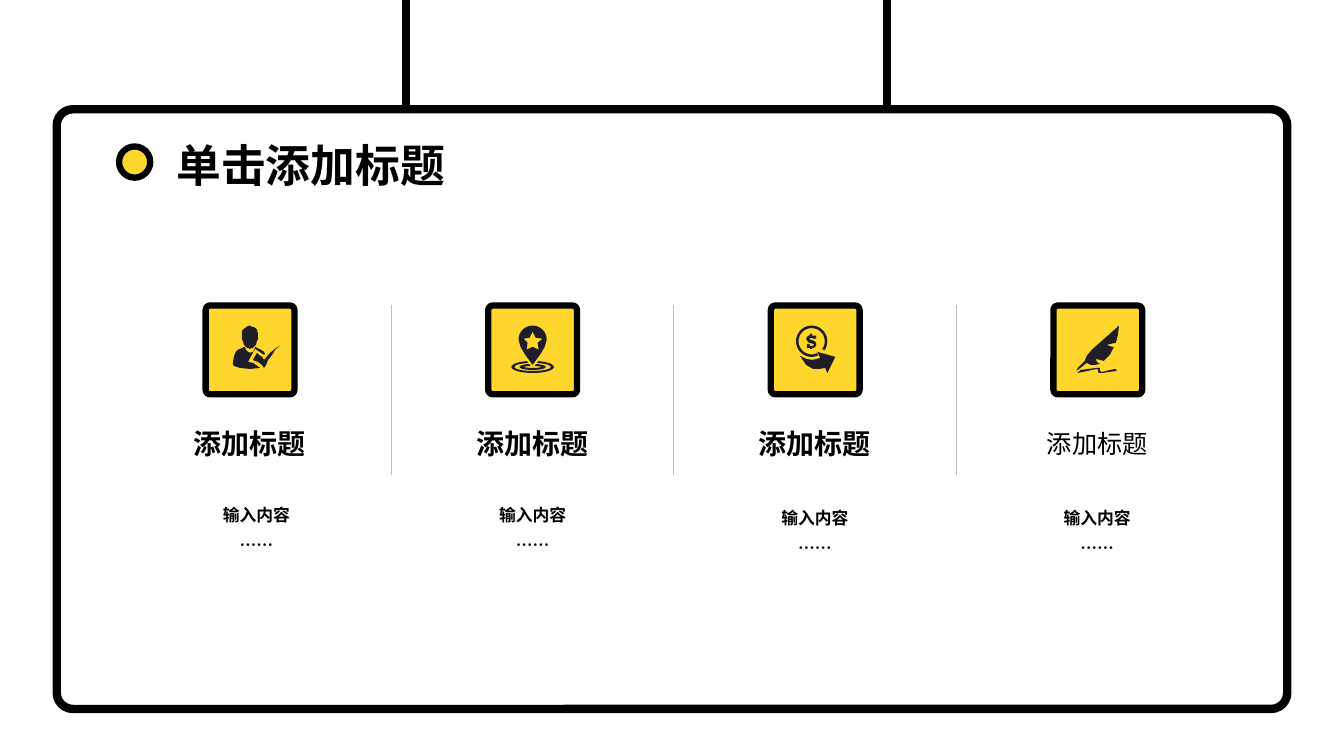
from dataclasses import dataclass
from math import cos, radians, sin

from lxml import etree
from pptx import Presentation
from pptx.dml.color import RGBColor
from pptx.enum.shapes import MSO_CONNECTOR, MSO_SHAPE
from pptx.enum.text import MSO_ANCHOR, MSO_AUTO_SIZE, PP_ALIGN
from pptx.oxml.ns import qn
from pptx.util import Pt

STRAIGHT = MSO_CONNECTOR.STRAIGHT
ROUNDED = MSO_SHAPE.ROUNDED_RECTANGLE
OVAL = MSO_SHAPE.OVAL
LEFT, CENTER = PP_ALIGN.LEFT, PP_ALIGN.CENTER
TOP, MIDDLE = MSO_ANCHOR.TOP, MSO_ANCHOR.MIDDLE
FIT_SHAPE = MSO_AUTO_SIZE.SHAPE_TO_FIT_TEXT

Point = tuple[float, float]
Contour = list[Point]


@dataclass(frozen=True)
class Theme:
    font: str = "Noto Sans CJK SC"
    black: RGBColor = RGBColor(0, 0, 0)
    white: RGBColor = RGBColor(255, 255, 255)
    yellow: RGBColor = RGBColor(0xFF, 0xD6, 0x2C)
    icon: RGBColor = RGBColor(0x1F, 0x1D, 0x28)
    divider: RGBColor = RGBColor(0xBF, 0xBF, 0xBF)
    title_size: float = 32
    heading_size: float = 20
    light_heading_size: float = 18
    body_size: float = 12
    board_line: float = 6
    badge_line: float = 4.5
    divider_line: float = 0.25


@dataclass(frozen=True)
class Box:
    left: float
    top: float
    width: float
    height: float


@dataclass(frozen=True)
class Icon:
    offset: float
    contours: list[Contour]


@dataclass(frozen=True)
class Card:
    icon: Icon
    body_left: float
    body_top: float
    heading_size: float
    heading_bold: bool


def arc(center: Point, radius: Point, start: int, end: int) -> Contour:
    step = 6 if end > start else -6
    return [(center[0] + radius[0] * cos(radians(angle)), center[1] + radius[1] * sin(radians(angle)))
            for angle in range(start, end + step, step)]


def open_ring(center: Point, outer: Point, inner: Point, start: int, end: int) -> Contour:
    return arc(center, outer, start, end) + arc(center, inner, end, start)


THEME = Theme()
ICON_UNIT = 0.72
ICON_INSET = 14.4
CARD_LEFT, CARD_TOP, CARD_SIZE, CARD_PITCH = 146.9, 218.2, 63.4, 201.85

PERSON = Icon(19.4, [
    [(12, 21), (13, 24), (15, 26), (17, 27), (20, 26), (22, 22), (22, 21), (24, 22), (28, 24),
     (31, 26), (32, 28), (31, 29), (28, 27), (25, 25), (22, 23), (15, 36), (20, 37), (23, 39),
     (26, 41), (27, 42), (17, 43), (7, 42), (1, 40), (0, 38), (1, 31), (3, 26), (5, 24)],
    [(47, 20), (42, 24), (39, 29), (35, 34), (33, 39), (31, 42), (29, 39), (25, 36), (22, 35),
     (20, 34), (24, 27), (26, 29), (29, 31), (31, 34), (37, 27), (42, 23)],
    [(16, 0), (19, 1), (22, 2), (24, 4), (25, 8), (25, 14), (24, 15), (23, 19), (20, 22),
     (17, 23), (14, 22), (11, 19), (10, 15), (9, 14), (9, 6), (10, 4), (14, 1)],
])
LOCATION = Icon(16.6, [
    arc((21, 14), (14, 14), 180, 360) + [(33, 21), (29, 28), (21, 39), (13, 28), (9, 21)],
    [(21, 6), (18, 12), (12, 13), (16, 17), (15, 24), (21, 21), (27, 24), (26, 17), (31, 13), (24, 12)],
    open_ring((21, 41), (21, 6), (18, 4), -75, 255),
    open_ring((21, 41), (13, 3), (8, 1), -75, 255),
])
COIN = Icon(18, [
    [(21, 26), (39, 31), (31, 47), (29, 42), (23, 43), (17, 43), (10, 39), (4, 30), (10, 33),
     (16, 34), (21, 33), (24, 32)],
    [(14, 8), (16, 8), (16, 10), (20, 10), (20, 13), (17, 13), (15, 12), (13, 13), (14, 14),
     (18, 15), (20, 17), (20, 20), (18, 22), (16, 22), (16, 23), (14, 23), (14, 22), (11, 22),
     (11, 18), (13, 18), (14, 20), (17, 20), (18, 19), (17, 18), (13, 17), (11, 15), (10, 13),
     (11, 11), (14, 9)],
    open_ring((15.5, 15.5), (15.5, 15.5), (13, 13), 66, 396),
])
QUILL = Icon(16.6, [
    [(42, 0), (41, 9), (39, 17), (30, 19), (32, 20), (35, 21), (37, 21), (33, 29), (27, 35),
     (19, 33), (20, 36), (23, 38), (18, 39), (14, 39), (10, 37), (0, 45), (1, 42), (8, 35),
     (10, 30), (15, 24)],
    [(20, 42), (23, 42), (23, 45), (25, 46), (38, 43), (40, 44), (39, 45), (25, 47), (22, 47),
     (21, 45), (22, 44), (20, 43), (1, 47), (4, 44)],
])

CARDS = [
    Card(PERSON, 98.6, 349.9, THEME.heading_size, True),
    Card(LOCATION, 295.9, 349.9, THEME.heading_size, True),
    Card(COIN, 497.5, 352.1, THEME.heading_size, True),
    Card(QUILL, 699.1, 352.1, THEME.light_heading_size, False),
]


def add_line(slide, x: float, top: float, bottom: float, color: RGBColor, width: float) -> None:
    connector = slide.shapes.add_connector(STRAIGHT, Pt(x), Pt(top), Pt(x), Pt(bottom))
    connector.line.color.rgb = color
    connector.line.width = Pt(width)
    etree.SubElement(connector.element.spPr, qn("a:effectLst"))


def add_outlined(slide, kind, box: Box, fill: RGBColor, width: float, corner: float = 0) -> None:
    shape = slide.shapes.add_shape(kind, Pt(box.left), Pt(box.top), Pt(box.width), Pt(box.height))
    shape.shadow.inherit = False
    if corner:
        shape.adjustments[0] = corner
    shape.fill.solid()
    shape.fill.fore_color.rgb = fill
    shape.line.color.rgb = THEME.black
    shape.line.width = Pt(width)


def add_text(slide, box: Box, text: str, size: float, bold: bool = True, align=CENTER,
             anchor=TOP, spacing: float = 1.0):
    shape = slide.shapes.add_textbox(Pt(box.left), Pt(box.top), Pt(box.width), Pt(box.height))
    text_frame = shape.text_frame
    text_frame.word_wrap = True
    text_frame.vertical_anchor = anchor
    text_frame.text = text
    for paragraph in text_frame.paragraphs:
        paragraph.alignment = align
        paragraph.line_spacing = spacing
        for run in paragraph.runs:
            run.font.size = Pt(size)
            run.font.bold = bold
            run.font.color.rgb = THEME.black
            run.font.name = THEME.font
            etree.SubElement(run.font._element, qn("a:ea"), typeface=THEME.font)
    return text_frame


def add_icon(slide, icon: Icon, left: float, top: float) -> None:
    contours = [[(Pt(left + x * ICON_UNIT), Pt(top + y * ICON_UNIT)) for x, y in contour]
                for contour in icon.contours]
    builder = slide.shapes.build_freeform(*contours[0][0])
    for index, contour in enumerate(contours):
        if index:
            builder.move_to(*contour[0])
        builder.add_line_segments(contour[1:], close=True)
    shape = builder.convert_to_shape()
    shape.shadow.inherit = False
    shape.fill.solid()
    shape.fill.fore_color.rgb = THEME.icon
    shape.line.fill.background()


def add_card(slide, card: Card, left: float) -> None:
    add_outlined(slide, ROUNDED, Box(left, CARD_TOP, CARD_SIZE, CARD_SIZE), THEME.yellow,
                 THEME.badge_line, 0.05)
    add_icon(slide, card.icon, left + card.icon.offset, CARD_TOP + ICON_INSET)
    add_text(slide, Box(left - 61.9, 294.5, 186.5, 44.6), "添加标题", card.heading_size,
             card.heading_bold, anchor=MIDDLE)
    add_text(slide, Box(card.body_left, card.body_top, 169.2, 83.5), "输入内容\n……",
             THEME.body_size, spacing=1.5)


def main() -> None:
    presentation = Presentation()
    presentation.slide_width, presentation.slide_height = Pt(960), Pt(540)
    slide = presentation.slides.add_slide(presentation.slide_layouts[6])
    for x in (633.6, 290.2):
        add_line(slide, x, 0, 116, THEME.black, THEME.board_line)
    add_outlined(slide, ROUNDED, Box(40.5, 78, 879, 428.4), THEME.white, THEME.board_line, 0.027)
    add_outlined(slide, OVAL, Box(85, 104.6, 22.3, 22.3), THEME.yellow, THEME.badge_line)
    title = add_text(slide, Box(118.8, 95, 228.2, 46), "单击添加标题", THEME.title_size, align=LEFT)
    title.auto_size = FIT_SHAPE
    for index, card in enumerate(CARDS):
        left = CARD_LEFT + index * CARD_PITCH
        add_card(slide, card, left)
        if index:
            add_line(slide, left - 69.4, CARD_TOP, 339.1, THEME.divider, THEME.divider_line)
    presentation.save("out.pptx")


if __name__ == "__main__":
    main()
